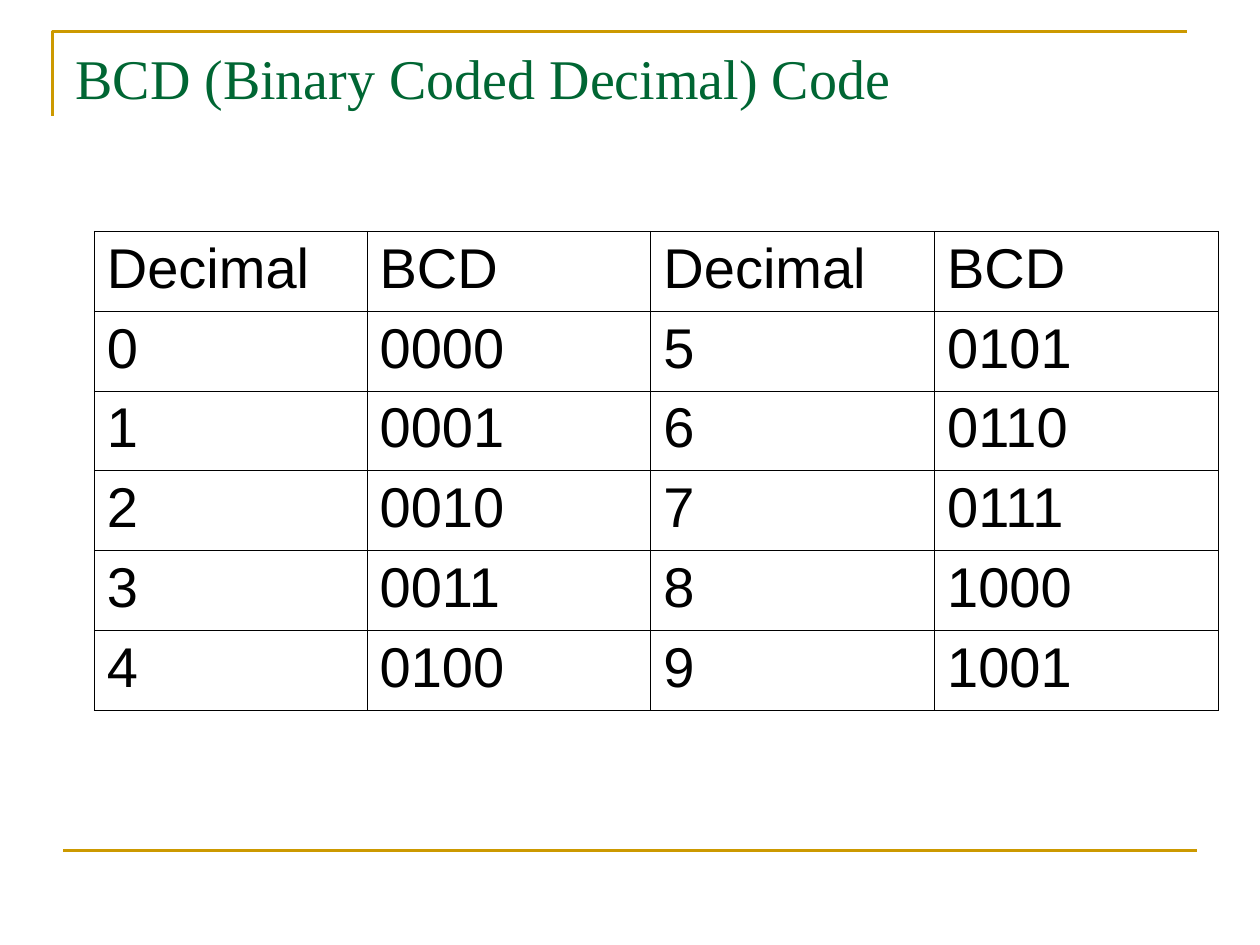
from lxml import etree
from pptx import Presentation
from pptx.dml.color import RGBColor
from pptx.enum import shapes, text
from pptx.oxml.ns import qn
from pptx.util import Cm, Pt

# Content
TITLE = "BCD (Binary Coded Decimal) Code"
HEADER = ["Decimal", "BCD"] * 2
DIGITS = [(n, n + 5) for n in range(5)]
ROWS = [HEADER] + [
    [cell for n in pair for cell in (str(n), f"{n:04b}")] for pair in DIGITS
]

# Style and layout
COLORS = {"rule": "CC9900", "title": "006633", "ink": "000000"}
COL_WIDTHS = [Cm(5.5)] + [Cm(5.72)] * 3
ROW_HEIGHT = Cm(1.61)


def style_line(sp):
    sp.line.color.rgb = RGBColor.from_string(COLORS["rule"])
    sp.line.width = Pt(1.5)


def style_text(p, font, color):
    for r in p.runs:
        r.font.name = font
        r.font.size = Pt(32)
        r.font.bold = False
        r.font.color.rgb = RGBColor.from_string(COLORS[color])


def add_borders(cell):
    tc_pr = cell._tc.get_or_add_tcPr()
    for side in ("lnL", "lnR", "lnT", "lnB"):
        ln = etree.SubElement(tc_pr, qn(f"a:{side}"), w=str(Pt(0.45)))
        fill = etree.SubElement(ln, qn("a:solidFill"))
        etree.SubElement(fill, qn("a:srgbClr"), val=COLORS["ink"])


prs = Presentation()
prs.slide_width, prs.slide_height = Cm(25.4), Cm(19.05)
slide = prs.slides.add_slide(prs.slide_layouts[6])

# Corner rule at the top left
left, top, right, bottom = Cm(1.06), Cm(0.64), Cm(23.92), Cm(2.33)
builder = slide.shapes.build_freeform(left, bottom)
builder.add_line_segments([(left, top), (right, top)], close=False)
corner = builder.convert_to_shape()
corner.shadow.inherit = False
corner.fill.background()
style_line(corner)

# Footer rule
footer = slide.shapes.add_connector(
    shapes.MSO_CONNECTOR.STRAIGHT, Cm(1.27), Cm(17.15), Cm(24.13), Cm(17.15)
)
etree.SubElement(footer._element.spPr, qn("a:effectLst"))
style_line(footer)

# Title
title = slide.shapes.add_textbox(Cm(1.27), Cm(0.76), Cm(22.86), Cm(3.18))
tf = title.text_frame
tf.word_wrap = True
tf.vertical_anchor = text.MSO_ANCHOR.TOP
tf.text = TITLE
style_text(tf.paragraphs[0], "Times New Roman", "title")

# Code table
table = slide.shapes.add_table(
    len(ROWS), len(HEADER), Cm(1.9), Cm(4.66),
    sum(COL_WIDTHS), ROW_HEIGHT * len(ROWS),
).table
table.first_row = table.horz_banding = False
for column, width in zip(table.columns, COL_WIDTHS):
    column.width = width
for row, values in zip(table.rows, ROWS):
    row.height = ROW_HEIGHT
    for cell, value in zip(row.cells, values):
        add_borders(cell)
        cell.fill.background()
        cell.text_frame.text = value
        style_text(cell.text_frame.paragraphs[0], "Arial", "ink")

prs.save("out.pptx")
